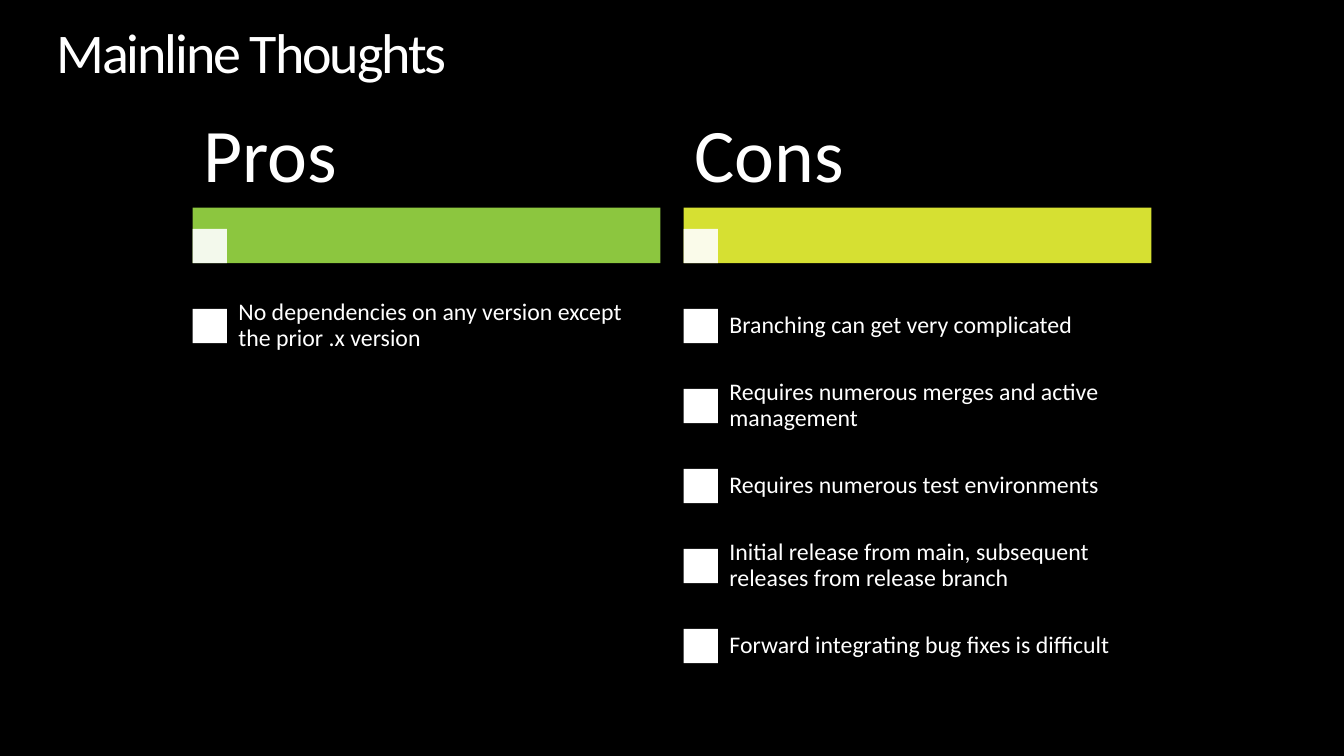
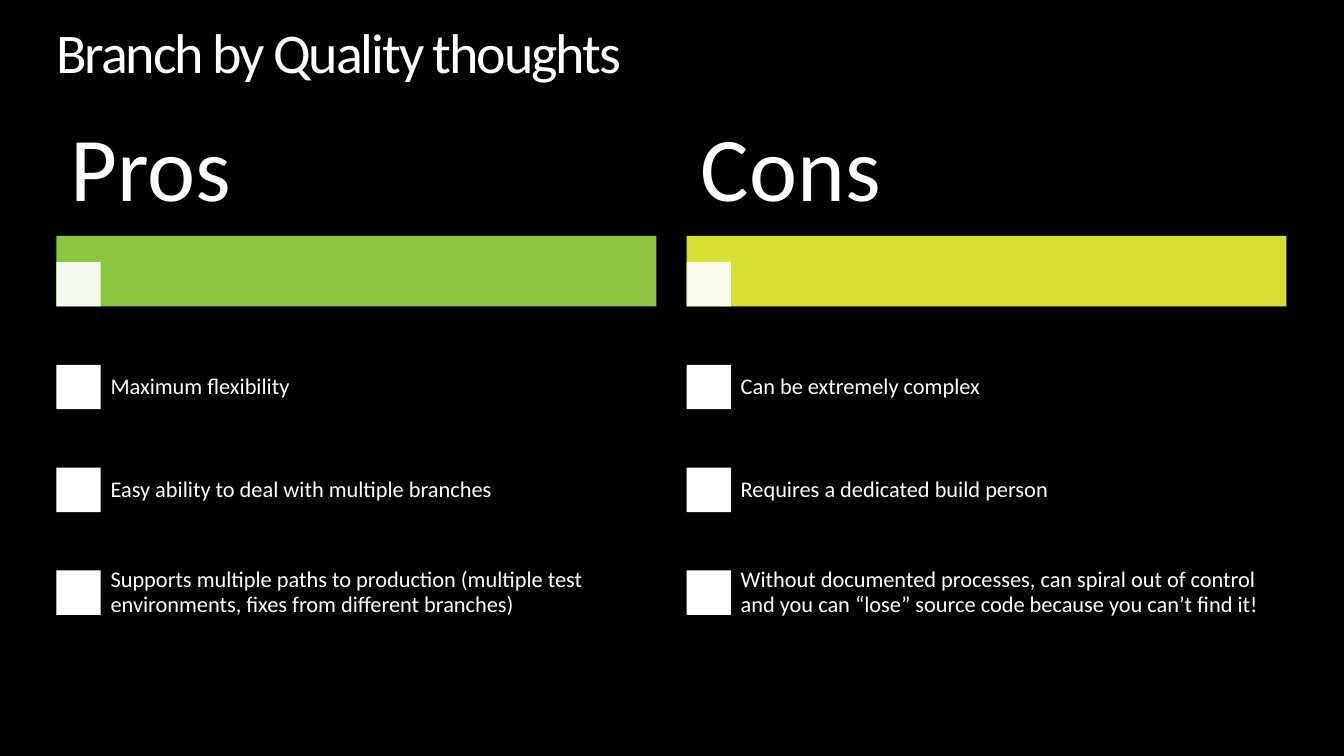
from dataclasses import dataclass

from lxml import etree
from pptx import Presentation
from pptx.dml.color import RGBColor
from pptx.enum.shapes import MSO_SHAPE
from pptx.enum.text import MSO_ANCHOR, MSO_AUTO_SIZE, PP_ALIGN
from pptx.oxml.ns import qn
from pptx.util import Pt

PX = 9144
FONT = "Calibri"
BLACK = RGBColor(0x00, 0x00, 0x00)
WHITE = RGBColor(0xFF, 0xFF, 0xFF)
GREEN = RGBColor(0x8C, 0xC6, 0x3F)
LIME = RGBColor(0xD6, 0xE0, 0x32)
RECT = MSO_SHAPE.RECTANGLE
TOP, MIDDLE = MSO_ANCHOR.TOP, MSO_ANCHOR.MIDDLE
LEFT = PP_ALIGN.LEFT
NO_FIT = MSO_AUTO_SIZE.NONE
TITLE_ONLY = 5
TITLE_BOX = (56, 25, 1222, 61)
COLUMNS = (("Pros", GREEN), ("Cons", LIME))
INDENT = 0.07


@dataclass
class Layout:
    box: tuple
    gap: int
    head_h: int
    bar_h: int
    mark: int
    row_h: float
    head_pt: int
    item_pt: int
    head_pad: tuple
    item_pad: tuple


COMPACT = Layout((191, 108, 951, 573), 23, 98, 55, 34, 79.4, 54, 17, (11, 7), (13, 13))
WIDE = Layout((56, 108, 1220, 531), 30, 126, 70, 44, 102, 65, 16, (14, 9), (12, 12))

SLIDES = (
    ("Mainline Thoughts", COMPACT, (
        ("No dependencies on any version except the prior .x version",),
        ("Branching can get very complicated",
         "Requires numerous merges and active management",
         "Requires numerous test environments",
         "Initial release from main, subsequent releases from release branch",
         "Forward integrating bug fixes is difficult"))),
    ("Branch by Quality thoughts", WIDE, (
        ("Maximum flexibility",
         "Easy ability to deal with multiple branches",
         "Supports multiple paths to production (multiple test environments, "
         "fixes from different branches)"),
        ("Can be extremely complex",
         "Requires a dedicated build person",
         "Without documented processes, can spiral out of control and you can "
         "“lose” source code because you can’t find it!"))),
)


def emu(*lengths):
    return [round(v * PX) for v in lengths]


def set_attrs(obj, values):
    for name, value in values.items():
        setattr(obj, name, value)


def write(sp, text, size, pad=(0, 0), anchor=MIDDLE):
    tf = sp.text_frame
    dx, dy = emu(*pad)
    set_attrs(tf, {"word_wrap": True, "auto_size": NO_FIT, "vertical_anchor": anchor,
                   "margin_left": dx, "margin_right": dx,
                   "margin_top": dy, "margin_bottom": dy})
    p = tf.paragraphs[0]
    set_attrs(p, {"alignment": LEFT, "line_spacing": 0.9})
    r = p.add_run()
    r.text = text
    set_attrs(r.font, {"name": FONT, "size": Pt(size)})
    r.font.color.rgb = WHITE
    return r


def add_text(s, box, text, size, pad):
    write(s.shapes.add_textbox(*emu(*box)), text, size, pad)


def add_rect(s, box, color, alpha=None):
    sp = s.shapes.add_shape(RECT, *emu(*box))
    sp.shadow.inherit = False
    sp.fill.solid()
    sp.fill.fore_color.rgb = color
    sp.line.fill.background()
    if alpha:
        clr = sp.fill._xPr.find(".//" + qn("a:srgbClr"))
        etree.SubElement(clr, qn("a:alpha")).set("val", str(alpha * 1000))


def add_title(s, text):
    sp = s.shapes.title
    set_attrs(sp, dict(zip(("left", "top", "width", "height"), emu(*TITLE_BOX))))
    r = write(sp, text, 40, anchor=TOP)
    r.font._element.set("spc", "-150")


def add_column(s, box, lay, heading, color, items):
    x, y, w, h = box
    mark, row_h = lay.mark, lay.row_h
    bar_y = y + lay.head_h
    bar_end = bar_y + lay.bar_h
    add_rect(s, (x, bar_y, w, lay.bar_h), color)
    add_rect(s, (x, bar_end - mark, mark, mark), WHITE, alpha=90)
    add_text(s, (x, y, w, lay.head_h), heading, lay.head_pt, lay.head_pad)
    inset = (row_h - mark) / 2
    indent = w * INDENT
    for i, item in enumerate(items):
        row_y = bar_end + inset + i * row_h
        add_rect(s, (x, row_y + inset, mark, mark), WHITE)
        add_text(s, (x + indent, row_y, w - indent, row_h), item,
                 lay.item_pt, lay.item_pad)


def add_comparison(prs, title, lay, lists):
    s = prs.slides.add_slide(prs.slide_layouts[TITLE_ONLY])
    add_title(s, title)
    x, y, w, h = lay.box
    col_w = (w - lay.gap) / 2
    for i, ((heading, color), items) in enumerate(zip(COLUMNS, lists)):
        col_x = x + i * (col_w + lay.gap)
        add_column(s, (col_x, y, col_w, h), lay, heading, color, items)


def main():
    prs = Presentation()
    prs.slide_width, prs.slide_height = emu(1333, 750)
    bg = prs.slide_master.background.fill
    bg.solid()
    bg.fore_color.rgb = BLACK
    for title, lay, lists in SLIDES:
        add_comparison(prs, title, lay, lists)
    prs.save("out.pptx")


if __name__ == "__main__":
    main()
